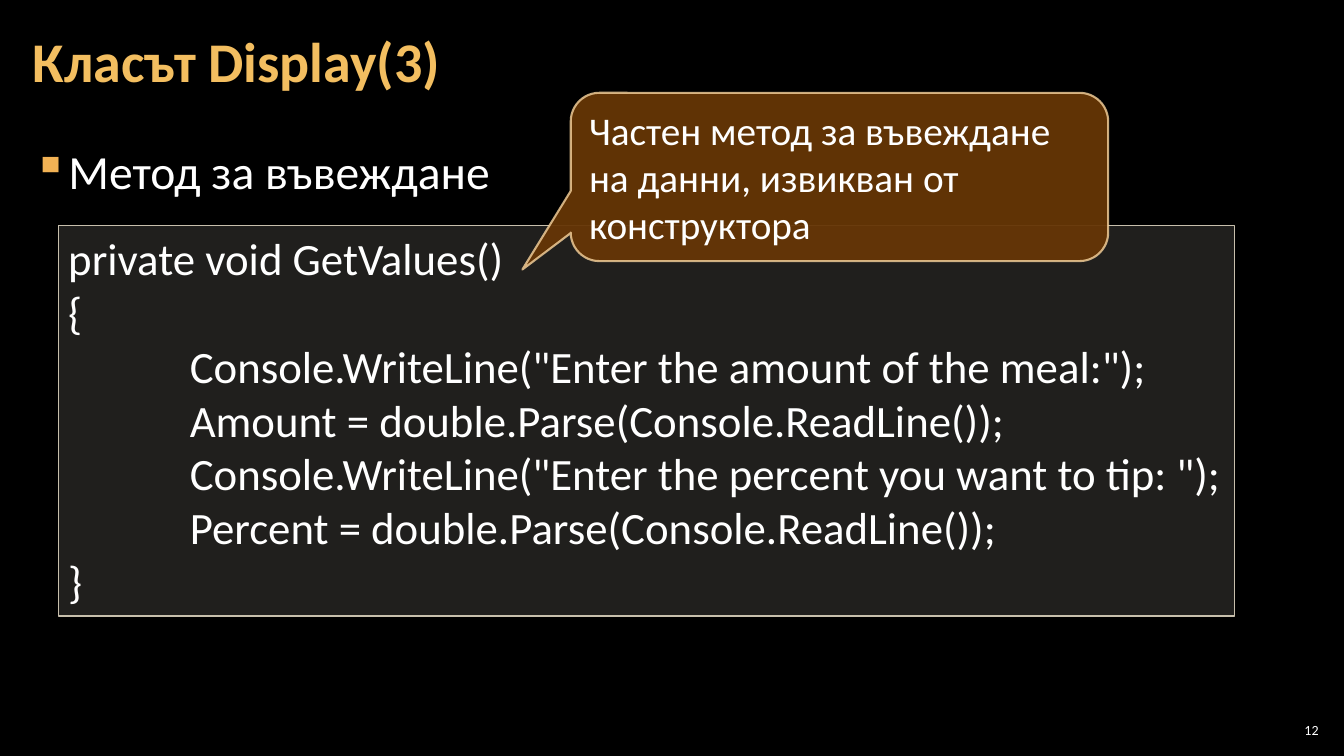
from dataclasses import dataclass, field

from lxml.etree import SubElement
from pptx import Presentation
from pptx.dml.color import RGBColor
from pptx.enum.shapes import MSO_SHAPE
from pptx.enum.text import MSO_ANCHOR, PP_ALIGN
from pptx.oxml.ns import qn
from pptx.slide import Slide
from pptx.util import Cm, Pt

COLORS = {
    "background": "000000",
    "text": "FFFFFF",
    "title": "F3BE60",
    "bullet": "F2B254",
    "code_fill": "D9D5C7",
    "code_line": "C7BFAC",
    "callout_fill": "663606",
    "callout_line": "F8D49E",
}
NARROW_INSETS = (0.1, 0.1, 0.1, 0.1)
PLACEHOLDER_INSETS = (0.3, 0.1, 0.3, 0.1)
SHAPE_INSETS = (0.25, 0.13, 0.25, 0.13)
CODE = """private void GetValues()
{
            Console.WriteLine("Enter the amount of the meal:");
            Amount = double.Parse(Console.ReadLine());
            Console.WriteLine("Enter the percent you want to tip: ");
            Percent = double.Parse(Console.ReadLine());
}"""


@dataclass(frozen=True)
class Outline:
    preset: MSO_SHAPE
    fill: str
    fill_alpha: int
    line: str
    line_alpha: int
    line_width: float
    adjustments: tuple[float, ...] = ()


@dataclass(frozen=True)
class Block:
    text: str
    place: tuple[float, float, float, float]
    size: float
    color: str = "text"
    bold: bool = False
    insets: tuple[float, float, float, float] = SHAPE_INSETS
    anchor: MSO_ANCHOR = MSO_ANCHOR.MIDDLE
    bullet: str = ""
    outline: Outline | None = None
    paragraph_format: dict = field(default_factory=dict)


BLOCKS = [
    Block("12", (32.13, 18.14, 1.19, 0.53), 10, insets=NARROW_INSETS,
          paragraph_format={"alignment": PP_ALIGN.RIGHT}),
    Block("Метод за въвеждане", (0.53, 3.41, 32.79, 2), 34,
          insets=PLACEHOLDER_INSETS, anchor=MSO_ANCHOR.TOP, bullet="▪",
          paragraph_format={"line_spacing": 1.05, "space_after": Pt(6)}),
    Block("Класът Display(3)", (0.53, 0.1, 26.59, 3.07), 40, color="title",
          bold=True, insets=PLACEHOLDER_INSETS,
          paragraph_format={"line_spacing": 0.9}),
    Block(CODE, (1.47, 5.69, 29.64, 9.83), 32, anchor=MSO_ANCHOR.TOP,
          outline=Outline(MSO_SHAPE.RECTANGLE, "code_fill", 15,
                          "code_line", 100, 1)),
    Block("Частен метод за въвеждане на данни, извикван от конструктора",
          (14.38, 2.34, 13.54, 4.24), 28,
          outline=Outline(MSO_SHAPE.ROUNDED_RECTANGULAR_CALLOUT,
                          "callout_fill", 95, "callout_line", 80, 1.5,
                          (-0.59, 0.55, 0.17))),
]


def rgb(name: str) -> RGBColor:
    return RGBColor.from_string(COLORS[name])


def style_outline(shape, outline: Outline) -> None:
    shape.shadow.inherit = False
    shape.fill.solid()
    shape.fill.fore_color.rgb = rgb(outline.fill)
    shape.line.color.rgb = rgb(outline.line)
    shape.line.width = Pt(outline.line_width)
    for index, value in enumerate(outline.adjustments):
        shape.adjustments[index] = value
    tints = shape._element.spPr.iter(qn("a:srgbClr"))
    for tint, alpha in zip(tints, (outline.fill_alpha, outline.line_alpha)):
        SubElement(tint, qn("a:alpha"), val=str(alpha * 1000))


def add_bullet(paragraph, character: str) -> None:
    properties = paragraph._p.get_or_add_pPr()
    properties.set("marL", str(Cm(0.84)))
    properties.set("indent", str(Cm(-0.84)))
    tint = SubElement(properties, qn("a:buClr"))
    SubElement(tint, qn("a:srgbClr"), val=COLORS["bullet"])
    SubElement(properties, qn("a:buChar"), char=character)


def draw_block(slide: Slide, block: Block) -> None:
    place = [Cm(length) for length in block.place]
    if block.outline:
        shape = slide.shapes.add_shape(block.outline.preset, *place)
        style_outline(shape, block.outline)
    else:
        shape = slide.shapes.add_textbox(*place)
    frame = shape.text_frame
    frame.text = block.text
    left, top, right, bottom = (Cm(inset) for inset in block.insets)
    frame_format = {
        "word_wrap": True,
        "vertical_anchor": block.anchor,
        "margin_left": left,
        "margin_top": top,
        "margin_right": right,
        "margin_bottom": bottom,
    }
    for name, value in frame_format.items():
        setattr(frame, name, value)
    font_format = {"name": "Calibri", "size": Pt(block.size), "bold": block.bold}
    paragraph_format = {"alignment": PP_ALIGN.LEFT} | block.paragraph_format
    for paragraph in frame.paragraphs:
        for name, value in paragraph_format.items():
            setattr(paragraph, name, value)
        if block.bullet:
            add_bullet(paragraph, block.bullet)
        for run in paragraph.runs:
            for name, value in font_format.items():
                setattr(run.font, name, value)
            run.font.color.rgb = rgb(block.color)


def main() -> None:
    presentation = Presentation()
    presentation.slide_width = Cm(33.86)
    presentation.slide_height = Cm(19.05)
    slide = presentation.slides.add_slide(presentation.slide_layouts[6])
    slide.background.fill.solid()
    slide.background.fill.fore_color.rgb = rgb("background")
    for block in BLOCKS:
        draw_block(slide, block)
    presentation.save("out.pptx")


if __name__ == "__main__":
    main()
